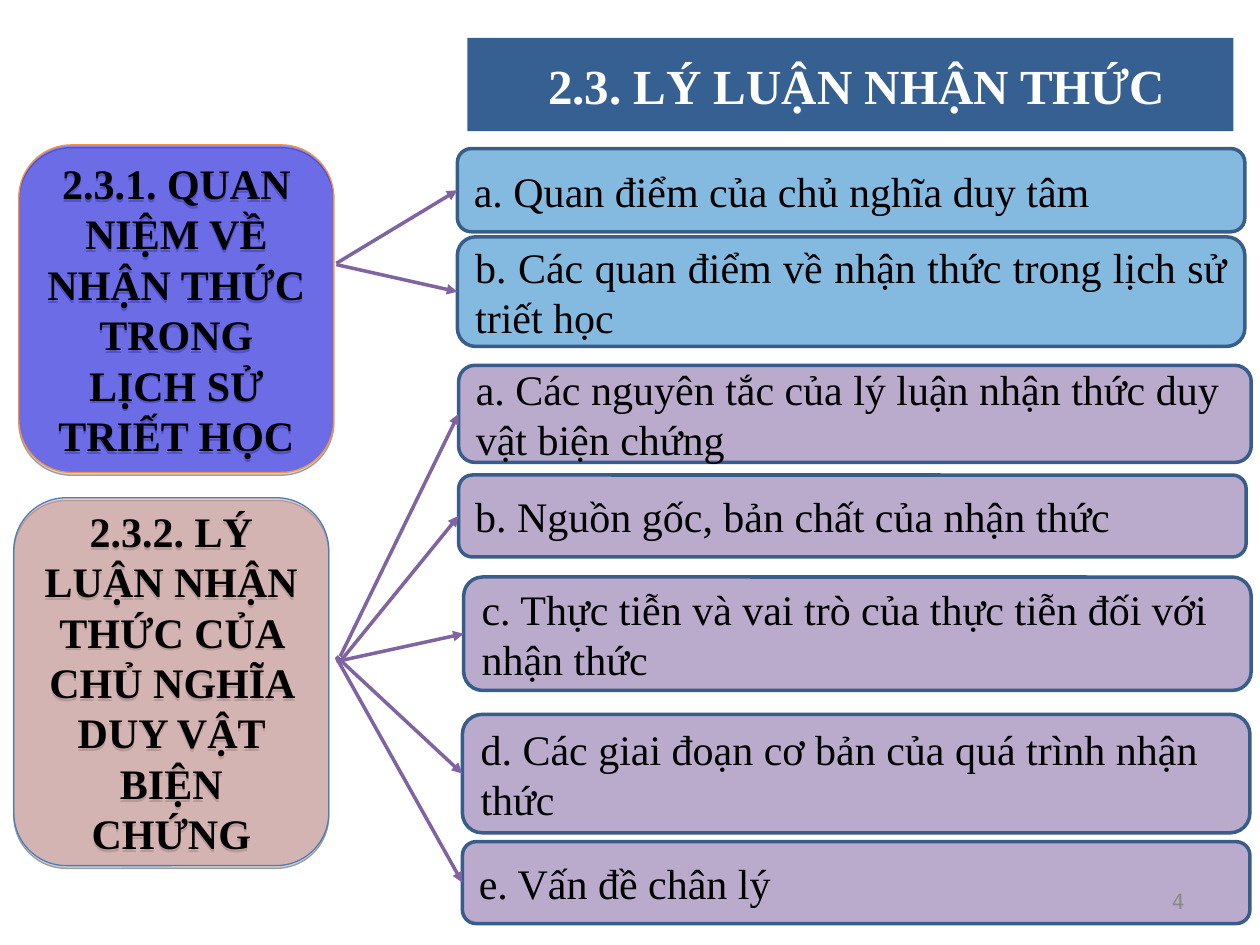
from lxml import etree
from pptx import Presentation
from pptx.dml.color import RGBColor
from pptx.enum.shapes import MSO_CONNECTOR, MSO_SHAPE
from pptx.enum.text import MSO_ANCHOR, MSO_AUTO_SIZE, PP_ALIGN
from pptx.oxml.ns import qn
from pptx.util import Inches, Pt

ROUNDED = MSO_SHAPE.ROUNDED_RECTANGLE
STRAIGHT = MSO_CONNECTOR.STRAIGHT
MIDDLE = MSO_ANCHOR.MIDDLE
NO_AUTOFIT = MSO_AUTO_SIZE.NONE
LEFT, CENTER, RIGHT, JUSTIFY = (
    PP_ALIGN.LEFT, PP_ALIGN.CENTER, PP_ALIGN.RIGHT, PP_ALIGN.JUSTIFY)

WHITE = RGBColor(0xFF, 0xFF, 0xFF)
BLACK = RGBColor(0x00, 0x00, 0x00)
GRAY = RGBColor(0x89, 0x89, 0x89)
NAVY = RGBColor(0x37, 0x60, 0x92)
OUTLINE = RGBColor(0x38, 0x5D, 0x8A)
BLUE = RGBColor(0x00, 0x00, 0xFF)
ORANGE = RGBColor(0xF6, 0x92, 0x40)
ROSE = RGBColor(0xD9, 0x96, 0x94)
STEEL = RGBColor(0x4A, 0x7E, 0xBB)
SKY = RGBColor(0x00, 0x70, 0xC0)
LILAC = RGBColor(0xB3, 0xA2, 0xC7)
PURPLE = RGBColor(0x80, 0x64, 0xA2)

# Each topic: box (left, top, width, height), fill, outline, text
TOPICS = [
    ((0.15, 1.15, 2.5, 2.6), BLUE, ORANGE,
     "2.3.1. QUAN NIỆM VỀ NHẬN THỨC TRONG LỊCH SỬ TRIẾT HỌC"),
    ((0.11, 3.95, 2.5, 2.92), ROSE, STEEL,
     "2.3.2. LÝ LUẬN NHẬN THỨC CỦA CHỦ NGHĨA DUY VẬT BIỆN CHỨNG"),
]
# Each item: box, start of its arrow, text
HISTORY_ITEMS = [
    ((3.63, 1.18, 6.25, 0.66), (2.67, 2.09), "a. Quan điểm của chủ nghĩa duy tâm"),
    ((3.63, 1.88, 6.25, 0.87), (2.67, 2.1),
     "b. Các quan điểm về nhận thức trong lịch sử triết học"),
]
THEORY_ITEMS = [
    ((3.64, 2.9, 6.29, 0.77), (2.7, 5.21),
     "a. Các nguyên tắc của lý luận nhận thức duy vật biện chứng"),
    ((3.64, 3.77, 6.25, 0.65), (2.7, 5.25), "b. Nguồn gốc, bản chất của nhận thức"),
    ((3.68, 4.58, 6.25, 0.9), (2.67, 5.25),
     "c. Thực tiễn và vai trò của thực tiễn đối với nhận thức"),
    ((3.67, 5.67, 6.25, 0.94), (2.67, 5.21),
     "d. Các giai đoạn cơ bản của quá trình nhận thức"),
    ((3.67, 6.68, 6.25, 0.65), (2.67, 5.22), "e. Vấn đề chân lý"),
]


def write_text(shape, text, size=24, font="Times New Roman", color=BLACK,
               bold=False, align=LEFT, space_before=0):
    frame = shape.text_frame
    frame.word_wrap = True
    frame.auto_size = NO_AUTOFIT
    frame.vertical_anchor = MIDDLE
    para = frame.paragraphs[0]
    para.alignment = align
    para.space_before = Pt(space_before)
    span = para.add_run()
    span.text = text
    span.font.name = font
    span.font.size = Pt(size)
    span.font.bold = bold
    span.font.color.rgb = color


def add_alpha(color_parent, percent):
    """Make the colour inside a fill or shadow element partly transparent."""
    color = color_parent.find(qn("a:srgbClr"))
    etree.SubElement(color, qn("a:alpha"), val=str(percent * 1000))


def add_drop_shadow(shape):
    shape.shadow.inherit = False
    effects = shape._element.spPr.find(qn("a:effectLst"))
    shadow = etree.SubElement(effects, qn("a:outerShdw"), blurRad="0",
                              dist=str(Pt(1.6)), dir="5400000", rotWithShape="0")
    etree.SubElement(shadow, qn("a:srgbClr"), val=str(BLACK))
    add_alpha(shadow, 38)


class SlideBuilder:
    def __init__(self, deck):
        self.page = deck.slides.add_slide(deck.slide_layouts[5])

    def title(self, bounds, text):
        box = self.page.shapes.title
        box.left, box.top, box.width, box.height = map(Inches, bounds)
        box.fill.solid()
        box.fill.fore_color.rgb = NAVY
        write_text(box, text, size=28, color=WHITE, bold=True, align=CENTER)

    def rounded_box(self, bounds, fill, alpha, line, line_width, text, **text_format):
        box = self.page.shapes.add_shape(ROUNDED, *map(Inches, bounds))
        box.adjustments[0] = 0.167
        box.shadow.inherit = False
        box.fill.solid()
        box.fill.fore_color.rgb = fill
        add_alpha(box._element.spPr.find(qn("a:solidFill")), alpha)
        box.line.color.rgb = line
        box.line.width = Pt(line_width)
        write_text(box, text, **text_format)
        return box

    def topic(self, bounds, fill, line, text):
        box = self.rounded_box(bounds, fill, 48, line, 0.75, text,
                               bold=True, align=CENTER)
        add_drop_shadow(box)

    def arrow(self, start, end):
        line = self.page.shapes.add_connector(STRAIGHT, *map(Inches, start + end))
        line.line.color.rgb = PURPLE
        line.line.width = Pt(2)
        etree.SubElement(line.line._get_or_add_ln(), qn("a:tailEnd"), type="triangle")
        etree.SubElement(line._element.spPr, qn("a:effectLst"))

    def items(self, rows, fill, alpha, **text_format):
        """Add each item box with an arrow to the middle of its left side."""
        for bounds, start, text in rows:
            self.rounded_box(bounds, fill, alpha, OUTLINE, 2, text, **text_format)
            left, top, _, height = bounds
            self.arrow(start, (left, top + height / 2))

    def page_number(self, bounds, number):
        box = self.page.shapes.add_textbox(*map(Inches, bounds))
        write_text(box, number, size=12, font="DejaVu Sans Mono",
                   color=GRAY, align=RIGHT)


def main():
    deck = Presentation()
    deck.slide_width = Inches(10)
    deck.slide_height = Inches(7.5)
    builder = SlideBuilder(deck)
    builder.title((3.71, 0.3, 6.08, 0.74), " 2.3. LÝ LUẬN NHẬN THỨC")
    for topic in TOPICS:
        builder.topic(*topic)
    builder.items(THEORY_ITEMS, LILAC, 90)
    builder.items(HISTORY_ITEMS, SKY, 48, align=JUSTIFY, space_before=6)
    builder.page_number((7.17, 6.95, 2.33, 0.4), "4")
    deck.save("out.pptx")


if __name__ == "__main__":
    main()
